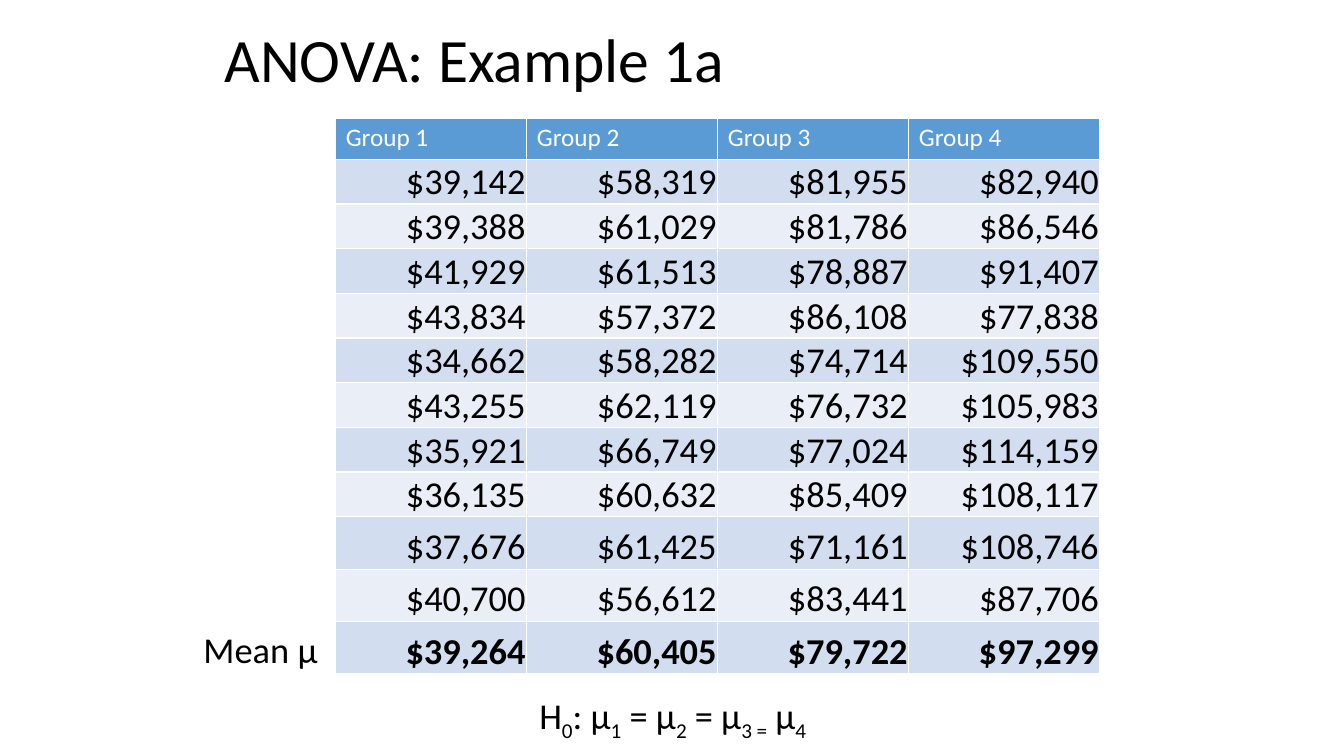
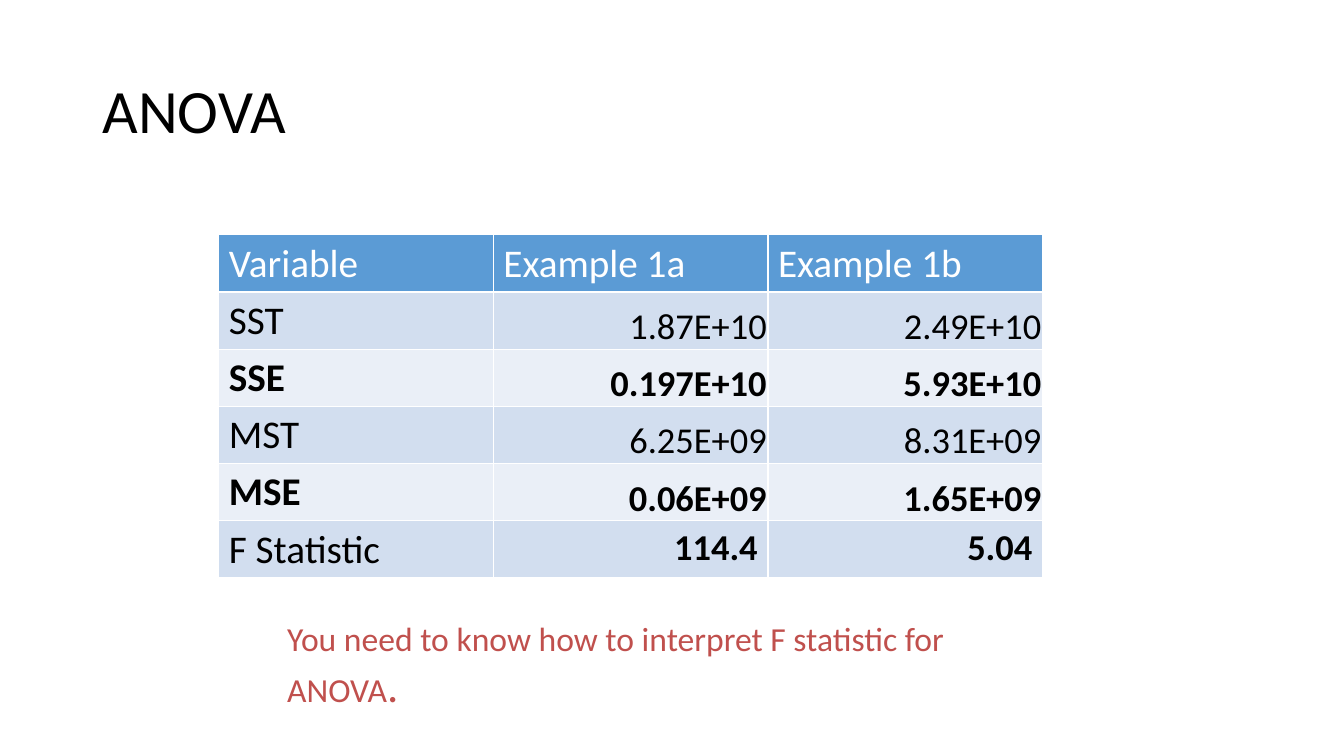
"""Build two slides on the analysis of variance."""
from pptx import Presentation
from pptx.dml.color import RGBColor
from pptx.enum.text import MSO_ANCHOR, MSO_AUTO_SIZE, PP_ALIGN
from pptx.util import Inches, Pt

FONT = "Calibri"
BLACK = RGBColor(0x00, 0x00, 0x00)
WHITE = RGBColor(0xFF, 0xFF, 0xFF)
BLUE = RGBColor(0x5B, 0x9B, 0xD5)
BANDS = (RGBColor(0xD2, 0xDE, 0xEF), RGBColor(0xEA, 0xEF, 0xF7))
RED = RGBColor(0xC0, 0x50, 0x4D)

LEFT, RIGHT = PP_ALIGN.LEFT, PP_ALIGN.RIGHT
TOP, MIDDLE, BOTTOM = MSO_ANCHOR.TOP, MSO_ANCHOR.MIDDLE, MSO_ANCHOR.BOTTOM
GROW = MSO_AUTO_SIZE.SHAPE_TO_FIT_TEXT

HEAD = dict(color=WHITE)
LABEL = dict(size=28)
VALUE = dict(size=26, align=RIGHT)
TIGHT = dict(VALUE, anchor=BOTTOM, tight=True)

PAY = [
    ("Group 1", "Group 2", "Group 3", "Group 4"),
    ("$39,142", "$58,319", "$81,955", "$82,940"),
    ("$39,388", "$61,029", "$81,786", "$86,546"),
    ("$41,929", "$61,513", "$78,887", "$91,407"),
    ("$43,834", "$57,372", "$86,108", "$77,838"),
    ("$34,662", "$58,282", "$74,714", "$109,550"),
    ("$43,255", "$62,119", "$76,732", "$105,983"),
    ("$35,921", "$66,749", "$77,024", "$114,159"),
    ("$36,135", "$60,632", "$85,409", "$108,117"),
    ("$37,676", "$61,425", "$71,161", "$108,746"),
    ("$40,700", "$56,612", "$83,441", "$87,706"),
    ("$39,264", "$60,405", "$79,722", "$97,299"),
]
STATS = [
    ("Variable", "Example 1a", "Example 1b"),
    ("SST", "1.87E+10", "2.49E+10"),
    ("SSE", "0.197E+10", "5.93E+10"),
    ("MST", "6.25E+09", "8.31E+09"),
    ("MSE", "0.06E+09", "1.65E+09"),
    ("F Statistic", "114.4", "5.04"),
]


def write(para, text, size=26, color=BLACK, bold=False, align=LEFT, sub=False):
    """Add one formatted run to a paragraph."""
    para.alignment = align
    run = para.add_run()
    run.text = text
    font = run.font
    font.name, font.size, font.bold = FONT, Pt(size), bold
    font.color.rgb = color
    if sub:
        run._r.get_or_add_rPr().set("baseline", "-25000")


def box(slide, area, wrap=True):
    """Add a text box and return its frame."""
    frame = slide.shapes.add_textbox(*map(Inches, area)).text_frame
    frame.word_wrap = wrap
    frame.auto_size = GROW
    return frame


def title(slide, text, area):
    """Add a slide title."""
    frame = box(slide, area)
    frame.auto_size = MSO_AUTO_SIZE.NONE
    frame.vertical_anchor = MIDDLE
    para = frame.paragraphs[0]
    para.line_spacing = 0.9
    write(para, text, size=44)


def fill(cell, text, back, anchor=TOP, tight=False, **form):
    """Set the text, fill and margins of a table cell."""
    cell.fill.solid()
    cell.fill.fore_color.rgb = back
    cell.vertical_anchor = anchor
    if tight:
        cell.margin_left = cell.margin_right = cell.margin_top = Inches(0.01)
        cell.margin_bottom = 0
    write(cell.text_frame.paragraphs[0], text, **form)


def grid(slide, data, area, highs, look):
    """Add a banded table whose cell formats come from look(row, col)."""
    shape = slide.shapes.add_table(len(data), len(data[0]), *map(Inches, area))
    table = shape.table
    for row, high in zip(table.rows, highs):
        row.height = Inches(high)
    for i, line in enumerate(data):
        back = BANDS[(i - 1) % 2] if i else BLUE
        for j, text in enumerate(line):
            fill(table.cell(i, j), text, back, **look(i, j))


def pay_look(row, col):
    """Give the format of a cell in the pay table."""
    if row == 0:
        return dict(HEAD, size=18)
    return dict(TIGHT, bold=row == len(PAY) - 1)


def stat_look(row, col):
    """Give the format of a cell in the statistics table."""
    if row == 0:
        return dict(HEAD, size=28)
    bold = row in (2, 4)
    if col == 0:
        return dict(LABEL, bold=bold)
    if row == len(STATS) - 1:
        return dict(VALUE, bold=True)
    return dict(TIGHT, bold=bold)


def pay_slide(slide):
    """Show the four groups, their means and the null hypothesis."""
    title(slide, "ANOVA: Example 1a", (2.13, 0, 8.17, 1.25))
    para = box(slide, (5.25, 6.83, 3.58, 0.54)).paragraphs[0]
    parts = ("H", "0", ": µ", "1", " = µ", "2", " = µ", "3 =", " µ", "4")
    for i, part in enumerate(parts):
        write(para, part, sub=i % 2 == 1)
    highs = [0.41] * 9 + [0.52] * 3
    grid(slide, PAY, (3.33, 1.17, 7.58, sum(highs)), highs, pay_look)
    mean = box(slide, (1.92, 6.17, 1.34, 0.54), wrap=False)
    write(mean.paragraphs[0], "Mean μ")


def stat_slide(slide):
    """Show the test statistics and a note on them."""
    title(slide, "ANOVA", (0.92, 0.4, 11.5, 1.45))
    highs = [0.41] * len(STATS)
    grid(slide, STATS, (2.17, 2.33, 8.17, sum(highs)), highs, stat_look)
    para = box(slide, (2.75, 6.08, 7.17, 1.04)).paragraphs[0]
    note = "You need to know how to interpret F statistic for ANOVA"
    write(para, note, size=24, color=RED)
    write(para, ".", size=32, color=RED)


def main():
    """Build and save the deck."""
    deck = Presentation()
    deck.slide_width, deck.slide_height = Inches(13.33), Inches(7.5)
    for draw in (pay_slide, stat_slide):
        draw(deck.slides.add_slide(deck.slide_layouts[6]))
    deck.save("out.pptx")


if __name__ == "__main__":
    main()
